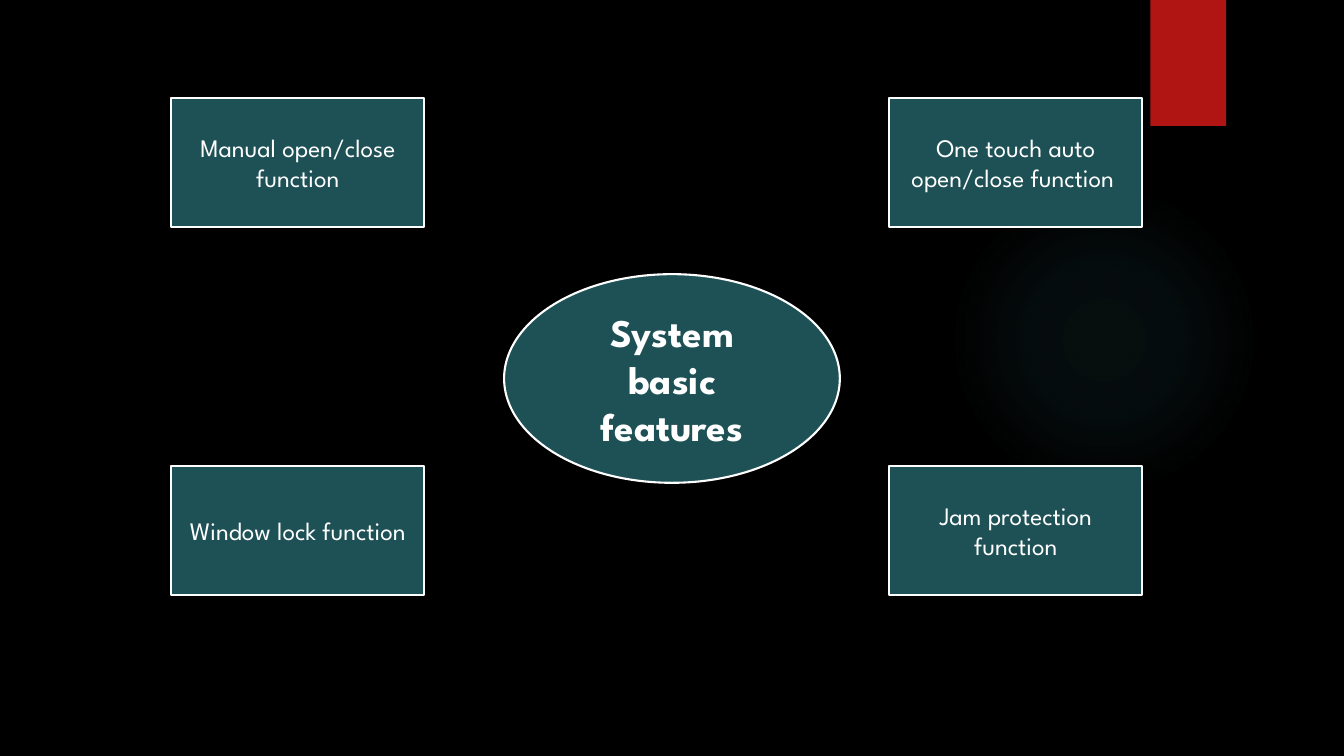
from itertools import product

from pptx import Presentation
from pptx.dml.color import RGBColor
from pptx.enum.shapes import MSO_SHAPE
from pptx.enum.text import MSO_ANCHOR, PP_ALIGN
from pptx.oxml import parse_xml
from pptx.oxml.ns import nsdecls, qn
from pptx.util import Inches, Pt

OVAL, RECTANGLE = MSO_SHAPE.OVAL, MSO_SHAPE.RECTANGLE
MIDDLE, CENTER = MSO_ANCHOR.MIDDLE, PP_ALIGN.CENTER
BLANK_LAYOUT = 6


def rgb(value):
    """Turn a hex string into a colour."""
    return RGBColor.from_string(value)


class FeatureSlide:
    """Draw on one slide, with boxes given in percent of its width and height."""

    font = "League Spartan"
    background, panel, ink = "000000", "1E5155", "FFFFFF"
    accent, halo = "B01513", "50B9C1"

    def __init__(self, deck):
        self.width, self.height = deck.slide_width, deck.slide_height
        self.slide = deck.slides.add_slide(deck.slide_layouts[BLANK_LAYOUT])
        backdrop = self.slide.background.fill
        backdrop.solid()
        backdrop.fore_color.rgb = rgb(self.background)

    def shape(self, outline, box, color):
        """Add a flat shape without a border."""
        left, top, width, height = box
        shape = self.slide.shapes.add_shape(
            outline,
            round(self.width * left / 100),
            round(self.height * top / 100),
            round(self.width * width / 100),
            round(self.height * height / 100),
        )
        shape.shadow.inherit = False
        shape.fill.solid()
        shape.fill.fore_color.rgb = rgb(color)
        shape.line.fill.background()
        return shape

    def glow(self, box, stops):
        """Add a circle that fades out along (position, opacity) stops."""
        circle = self.shape(OVAL, box, self.halo)
        fades = "".join(
            f'<a:gs pos="{position * 1000}"><a:srgbClr val="{self.halo}">'
            f'<a:alpha val="{opacity * 1000}"/></a:srgbClr></a:gs>'
            for position, opacity in stops
        )
        gradient = parse_xml(
            f'<a:gradFill {nsdecls("a")} rotWithShape="1"><a:gsLst>{fades}</a:gsLst>'
            '<a:path path="circle"><a:fillToRect l="50000" t="50000" r="50000" b="50000"/>'
            "</a:path></a:gradFill>"
        )
        properties = circle.element.spPr
        properties.replace(properties.find(qn("a:solidFill")), gradient)

    def label(self, outline, box, words, size, bold=False):
        """Add a bordered panel with centred text."""
        panel = self.shape(outline, box, self.panel)
        panel.line.color.rgb = rgb(self.ink)
        panel.line.width = Pt(1.5)
        frame = panel.text_frame
        frame.word_wrap = True
        frame.vertical_anchor = MIDDLE
        paragraph = frame.paragraphs[0]
        paragraph.alignment = CENTER
        run = paragraph.add_run()
        run.text = words
        run.font.name = self.font
        run.font.size = Pt(size)
        run.font.bold = bold
        run.font.color.rgb = rgb(self.ink)


def main():
    """Build the slide of system features."""
    deck = Presentation()
    deck.slide_width, deck.slide_height = Inches(13.33), Inches(7.5)
    page = FeatureSlide(deck)
    page.glow((70.59, 24.4, 23.11, 41.07), [(0, 7), (36, 6), (69, 0)])
    page.shape(RECTANGLE, (85.6, 0, 5.63, 16.67), page.accent)
    page.label(OVAL, (37.51, 36.27, 24.98, 27.6), "System basic features", 28, bold=True)

    features = [
        "Manual open/close function",
        "One touch auto open/close function ",
        "Window lock function",
        "Jam protection function",
    ]
    rows, columns = (12.93, 61.6), (12.75, 66.17)
    for feature, (top, left) in zip(features, product(rows, columns)):
        page.label(RECTANGLE, (left, top, 18.83, 17.07), feature, 18)

    deck.save("out.pptx")


if __name__ == "__main__":
    main()
